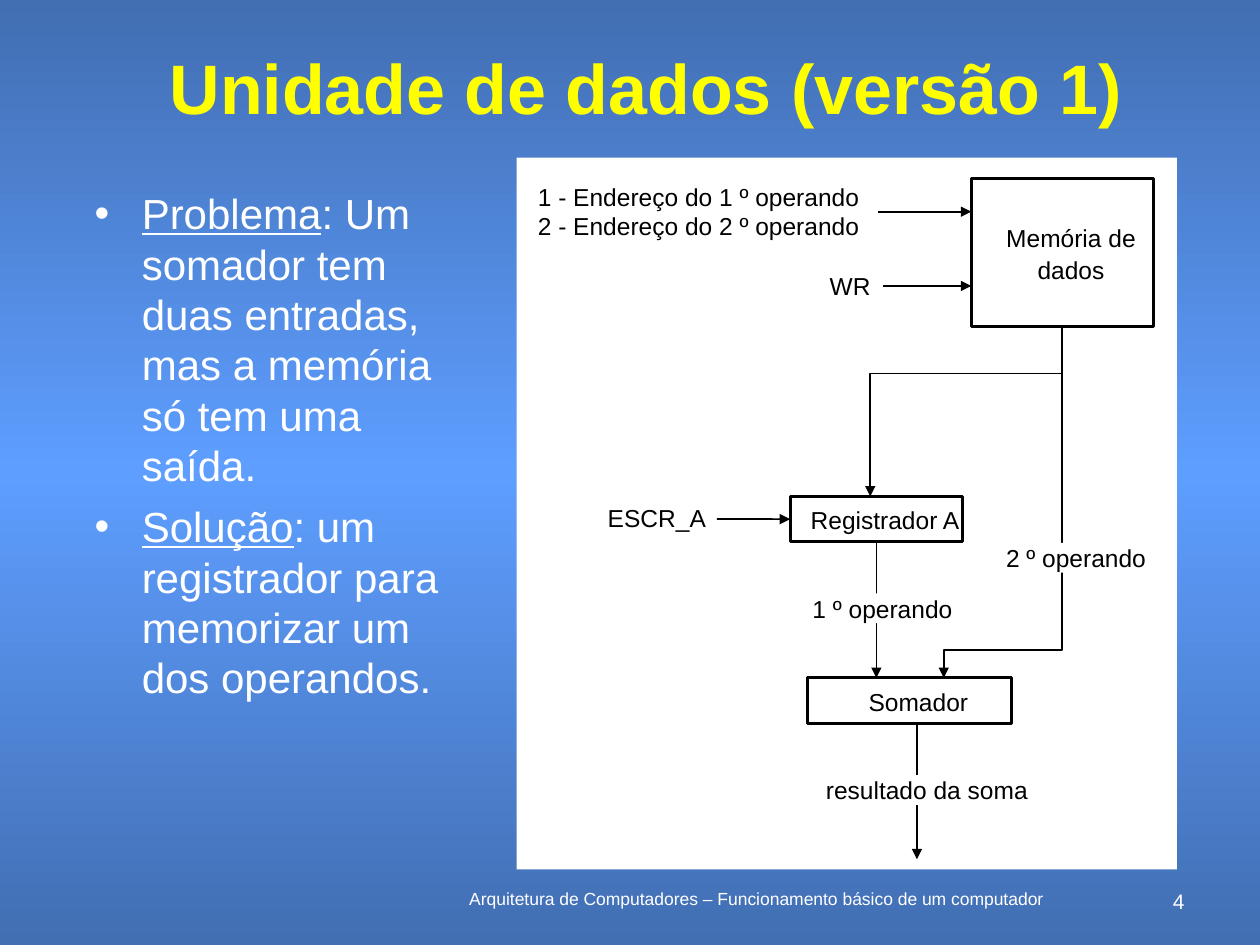
from copy import deepcopy

from pptx import Presentation
from pptx.dml.color import RGBColor
from pptx.enum.shapes import MSO_CONNECTOR, MSO_SHAPE
from pptx.enum.text import MSO_ANCHOR, MSO_AUTO_SIZE, PP_ALIGN
from pptx.oxml.ns import qn
from pptx.oxml.xmlchemy import OxmlElement
from pptx.util import Pt

LEFT, CENTER, RIGHT = PP_ALIGN.LEFT, PP_ALIGN.CENTER, PP_ALIGN.RIGHT
MIDDLE, TOP = MSO_ANCHOR.MIDDLE, MSO_ANCHOR.TOP
RECTANGLE, STRAIGHT = MSO_SHAPE.RECTANGLE, MSO_CONNECTOR.STRAIGHT
NO_AUTOFIT = MSO_AUTO_SIZE.NONE

BLACK = RGBColor(0x00, 0x00, 0x00)
WHITE = RGBColor(0xFF, 0xFF, 0xFF)
YELLOW = RGBColor(0xFF, 0xFF, 0x00)
DARK_BLUE = RGBColor(0x42, 0x6E, 0xB2)
LIGHT_BLUE = RGBColor(0x5E, 0x9E, 0xFF)

FONT = "Arial"
LABEL_SIZE = 14
LABEL_HEIGHT = 17
BULLETS = [
    ("Problema", ": Um somador tem duas entradas, mas a memória só tem uma saída."),
    ("Solução", ": um registrador para memorizar um dos operandos."),
]


def set_background(s):
    fill = s.background.fill
    fill.gradient()
    fill.gradient_angle = 90
    stop_list = s.element.find(".//" + qn("a:gsLst"))
    stop_list.append(deepcopy(stop_list[0]))
    stops = zip(fill.gradient_stops, (0, 0.5, 1), (DARK_BLUE, LIGHT_BLUE, DARK_BLUE))
    for stop, position, color in stops:
        stop.position = position
        stop.color.rgb = color


def place(sp, left, top, width, height):
    sp.left, sp.top, sp.width, sp.height = Pt(left), Pt(top), Pt(width), Pt(height)


def style_run(r, size, color, bold=False, underline=False):
    r.font.name = FONT
    r.font.size = Pt(size)
    r.font.color.rgb = color
    r.font.bold = bold
    r.font.underline = underline


def write(tf, text, size, color, align, spacing=None, bold=False):
    tf.text = text
    for p in tf.paragraphs:
        p.alignment = align
        if spacing:
            p.line_spacing = spacing
        for r in p.runs:
            style_run(r, size, color, bold)


def set_margins(tf, left=0, top=0, right=0, bottom=0):
    tf.margin_left, tf.margin_top = Pt(left), Pt(top)
    tf.margin_right, tf.margin_bottom = Pt(right), Pt(bottom)


def add_title(s, text):
    sp = s.shapes.title
    place(sp, 60, 30, 618, 48)
    tf = sp.text_frame
    tf.auto_size = NO_AUTOFIT
    tf.vertical_anchor = MIDDLE
    write(tf, text, 40, YELLOW, CENTER, spacing=0.8, bold=True)


def add_bullets(s, items):
    sp = s.placeholders[1]
    place(sp, 46.8, 103.7, 234, 370)
    tf = sp.text_frame
    tf.auto_size = NO_AUTOFIT
    for i, (term, rest) in enumerate(items):
        p = tf.paragraphs[0] if i == 0 else tf.add_paragraph()
        p.space_before = Pt(6)
        p.line_spacing = Pt(28.8)
        pPr = p._p.get_or_add_pPr()
        pPr.set("marL", str(Pt(27)))
        pPr.set("indent", str(-Pt(27)))
        for text in (term, rest):
            r = p.add_run()
            r.text = text
            style_run(r, 24, WHITE, underline=text == term)


def add_footer(s, text, left, width, size, align):
    sp = s.shapes.add_textbox(Pt(left), Pt(504), Pt(width), Pt(18))
    sp.text_frame.word_wrap = True
    write(sp.text_frame, text, size, WHITE, align)


def add_box(s, left, top, width, height, text="", outlined=True):
    sp = s.shapes.add_shape(RECTANGLE, Pt(left), Pt(top), Pt(width), Pt(height))
    sp.shadow.inherit = False
    sp.fill.solid()
    sp.fill.fore_color.rgb = WHITE
    if outlined:
        sp.line.color.rgb = BLACK
        sp.line.width = Pt(1.75)
    else:
        sp.line.fill.background()
    if text:
        tf = sp.text_frame
        tf.word_wrap = False
        tf.vertical_anchor = MIDDLE
        set_margins(tf, left=10)
        write(tf, text, LABEL_SIZE, BLACK, CENTER, spacing=Pt(18))
    return sp


def add_label(s, text, cx, cy, width, lines=1, align=CENTER, filled=False):
    height = LABEL_HEIGHT * lines
    sp = s.shapes.add_textbox(Pt(cx - width / 2), Pt(cy - height / 2), Pt(width), Pt(height))
    if filled:
        sp.fill.solid()
        sp.fill.fore_color.rgb = WHITE
    tf = sp.text_frame
    tf.word_wrap = False
    tf.vertical_anchor = MIDDLE
    set_margins(tf)
    write(tf, text, LABEL_SIZE, BLACK, align, spacing=Pt(16.8))


def style_arrow(sp):
    sp.line.color.rgb = BLACK
    sp.line.width = Pt(1)
    tail = OxmlElement("a:tailEnd")
    tail.set("type", "triangle")
    sp.line._get_or_add_ln().append(tail)


def add_arrow(s, x1, y1, x2, y2):
    sp = s.shapes.add_connector(STRAIGHT, Pt(x1), Pt(y1), Pt(x2), Pt(y2))
    style_arrow(sp)
    sp._element.spPr.append(OxmlElement("a:effectLst"))
    return sp


def add_bent_arrow(s, start, *points):
    builder = s.shapes.build_freeform(Pt(start[0]), Pt(start[1]))
    builder.add_line_segments([(Pt(x), Pt(y)) for x, y in points], close=False)
    sp = builder.convert_to_shape()
    sp.shadow.inherit = False
    sp.fill.background()
    style_arrow(sp)


def add_diagram(s):
    # White board and the three units
    add_box(s, 295.2, 90, 377.3, 406.8, outlined=False)
    memory = add_box(s, 555, 102.2, 104, 84.3, "Memória de\ndados")
    register = add_box(s, 451.5, 283.7, 98.6, 25.9, "Registrador A")
    add_box(s, 461.5, 387.4, 116.6, 25.9, "Somador")

    # Memory inputs
    add_label(s, "1 - Endereço do 1 º operando\n2 - Endereço do 2 º operando",
              402.6, 120.8, 190.5, lines=2, align=LEFT)
    add_arrow(s, 502, 121, 555, 121)
    add_label(s, "WR", 485.8, 163, 24)
    add_arrow(s, 504.7, 163.4, 555, 163.4)

    # Register control input
    add_label(s, "ESCR_A", 375.4, 295.8, 58)
    add_arrow(s, 409.7, 296.6, 451.5, 296.6).end_connect(register, 1)

    # Memory output to the register and to the adder
    out_x, out_y = 607, (memory.top + memory.height) / Pt(1)
    add_bent_arrow(s, (out_x, out_y), (out_x, 213.5), (497.3, 213.5), (497.3, 283.7))
    add_bent_arrow(s, (out_x, out_y), (out_x, 371.5), (539.3, 371.5), (539.3, 387.4))
    add_label(s, "2 º operando", 614.9, 318.8, 84, filled=True)

    # Register output and sum
    add_arrow(s, 500.8, 309.6, 500.8, 387.4).begin_connect(register, 2)
    add_label(s, "1 º operando", 504.3, 347.6, 84, filled=True)
    add_arrow(s, 524, 413.3, 524, 491)
    add_label(s, "resultado da soma", 529.7, 451.4, 118, filled=True)


def main():
    prs = Presentation()
    prs.slide_width, prs.slide_height = Pt(720), Pt(540)
    s = prs.slides.add_slide(prs.slide_layouts[1])
    set_background(s)
    add_footer(s, "Arquitetura de Computadores – Funcionamento básico de um computador",
               240, 384, 10, CENTER)
    add_footer(s, "4", 654, 30, 12, RIGHT)
    add_title(s, "Unidade de dados (versão 1)")
    add_bullets(s, BULLETS)
    add_diagram(s)
    prs.save("out.pptx")


if __name__ == "__main__":
    main()
